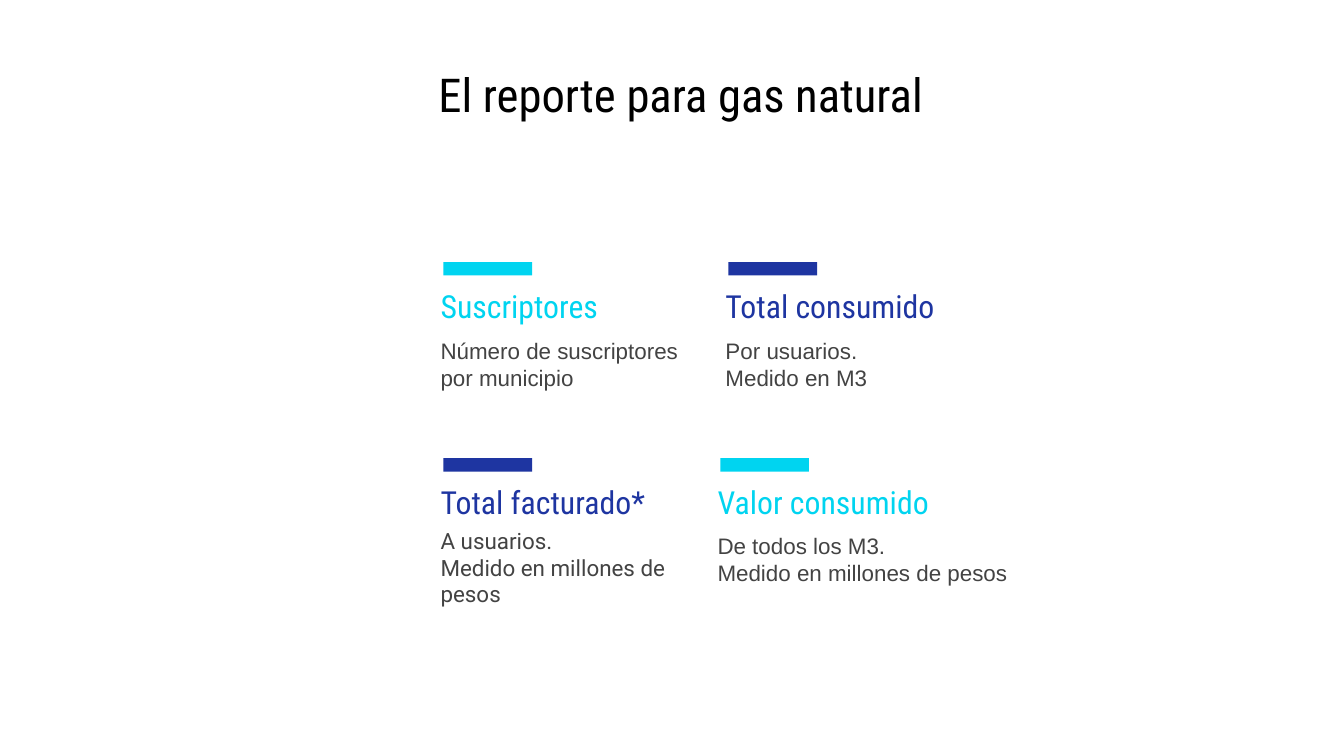
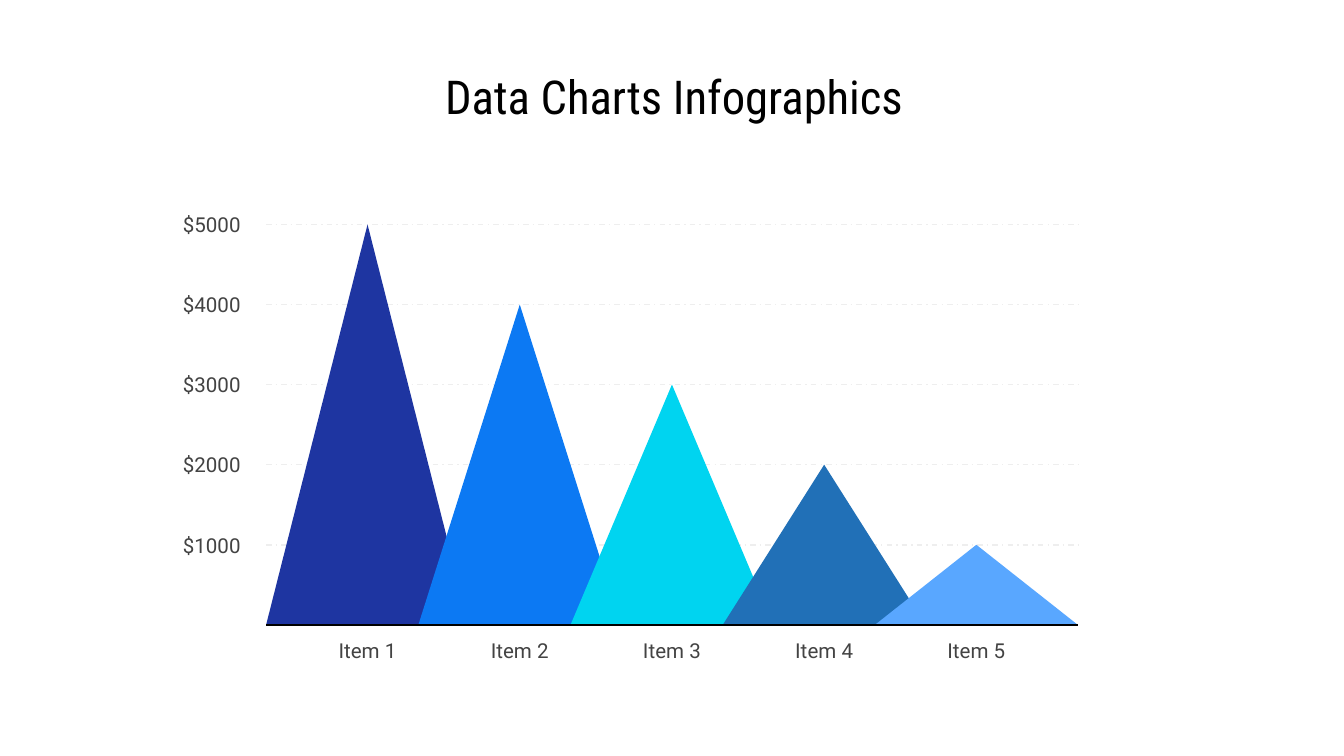
"""Build two slides: the natural gas report and a triangle chart infographic."""
from lxml import etree
from pptx import Presentation
from pptx.dml.color import RGBColor
from pptx.enum.dml import MSO_LINE
from pptx.enum.shapes import MSO_CONNECTOR, MSO_SHAPE
from pptx.enum.text import MSO_ANCHOR, MSO_AUTO_SIZE, PP_ALIGN
from pptx.oxml.ns import qn
from pptx.util import Inches, Pt

LEFT, CENTER, RIGHT = PP_ALIGN.LEFT, PP_ALIGN.CENTER, PP_ALIGN.RIGHT
MIDDLE, NO_FIT = MSO_ANCHOR.MIDDLE, MSO_AUTO_SIZE.NONE
RECTANGLE, TRIANGLE = MSO_SHAPE.RECTANGLE, MSO_SHAPE.ISOSCELES_TRIANGLE
STRAIGHT, DASH_DOT = MSO_CONNECTOR.STRAIGHT, MSO_LINE.DASH_DOT
TITLE_ONLY = 5

COLORS = {
    "black": "000000", "text": "434343", "grid": "EEEEEE",
    "navy": "1E35A1", "blue": "0C79F3", "cyan": "00D4F0",
    "steel": "2170B7", "sky": "59A7FF",
}
HEADING_FONT, LABEL_FONT, BODY_FONT = "Roboto Condensed", "Roboto", "Arial"


def write_text(holder, box, lines, size, font, color, align=LEFT):
    holder.left, holder.top, holder.width, holder.height = map(Inches, box)
    frame = holder.text_frame
    frame.auto_size = NO_FIT
    frame.word_wrap = True
    frame.vertical_anchor = MIDDLE
    frame.margin_left = frame.margin_right = Inches(0.1)
    frame.margin_top = frame.margin_bottom = Inches(0.1)
    for index, line in enumerate(lines):
        paragraph = frame.add_paragraph() if index else frame.paragraphs[0]
        paragraph.alignment = align
        run = paragraph.add_run()
        run.text = line
        run.font.size = Pt(size)
        run.font.name = font
        run.font.color.rgb = RGBColor.from_string(COLORS[color])


def add_block(slide, kind, box, color):
    block = slide.shapes.add_shape(kind, *map(Inches, box))
    block.shadow.inherit = False
    block.fill.solid()
    block.fill.fore_color.rgb = RGBColor.from_string(COLORS[color])
    block.line.fill.background()


prs = Presentation()
prs.slide_width = Inches(10)
prs.slide_height = prs.slide_width * 9 // 16

slides = []
for title, left, top in [
    ("El reporte para gas natural", 0.58, 0.43),
    ("Data Charts Infographics", 0.53, 0.45),
]:
    slide = prs.slides.add_slide(prs.slide_layouts[TITLE_ONLY])
    write_text(slide.shapes.title, (left, top, 8.97, 0.53), [title],
               25, HEADING_FONT, "black", CENTER)
    slides.append(slide)
report, infographic = slides

indicators = [
    ("Total facturado*", ["A usuarios.", "Medido en millones de pesos"],
     "navy", LABEL_FONT, 3.18, 3.41, 1.94, 1.94, 0.51),
    ("Suscriptores", ["Número de suscriptores por municipio"],
     "cyan", BODY_FONT, 3.18, 1.95, 1.94, 2, 0.46),
    ("Total consumido", ["Por usuarios.", "Medido en M3"],
     "navy", BODY_FONT, 5.3, 1.95, 1.94, 1.94, 0.46),
    ("Valor consumido", ["De todos los M3. ", "Medido en millones de pesos"],
     "cyan", BODY_FONT, 5.24, 3.41, 2.09, 2.42, 0.45),
]
for name, details, color, font, left, top, name_width, width, drop in indicators:
    write_text(report.shapes.add_textbox(0, 0, 0, 0),
               (left, top + 0.18, name_width, 0.29),
               [name], 17, HEADING_FONT, color)
    write_text(report.shapes.add_textbox(0, 0, 0, 0),
               (left, top + drop, width, 0.6), details, 12, font, "text")
    add_block(report, RECTANGLE, (left + 0.12, top, 0.66, 0.1), color)

axis_left, axis_right, baseline = 1.98, 8.02, 4.65
level_step = (baseline - 1.67) / 5
peak_width = 1.51
item_step = (axis_right - axis_left - peak_width) / 4
peaks = list(zip((5, 4, 3, 2, 1), ("navy", "blue", "cyan", "steel", "sky")))

rules = [(baseline - level * level_step, "grid") for level, _ in peaks]
rules.append((baseline, "black"))
axis = None
for y, color in rules:
    axis = infographic.shapes.add_connector(
        STRAIGHT, Inches(axis_left), Inches(y), Inches(axis_right), Inches(y))
    axis.line.color.rgb = RGBColor.from_string(COLORS[color])
    axis.line.width = Pt(0.75)
    if color == "grid":
        axis.line.dash_style = DASH_DOT
    etree.SubElement(axis._element.spPr, qn("a:effectLst"))

for index, (level, color) in enumerate(peaks):
    left = axis_left + index * item_step
    height = level * level_step
    top = baseline - height
    add_block(infographic, TRIANGLE, (left, top, peak_width, height), color)
    write_text(infographic.shapes.add_textbox(0, 0, 0, 0),
               (1.06, top - 0.11, 0.83, 0.22), [f"${level * 1000}"],
               11, LABEL_FONT, "text", RIGHT)
    write_text(infographic.shapes.add_textbox(0, 0, 0, 0),
               (left + 0.37, 4.73, 0.77, 0.22), [f"Item {index + 1}"],
               11, LABEL_FONT, "text", CENTER)

infographic.shapes._spTree.append(axis._element)

prs.save("out.pptx")
